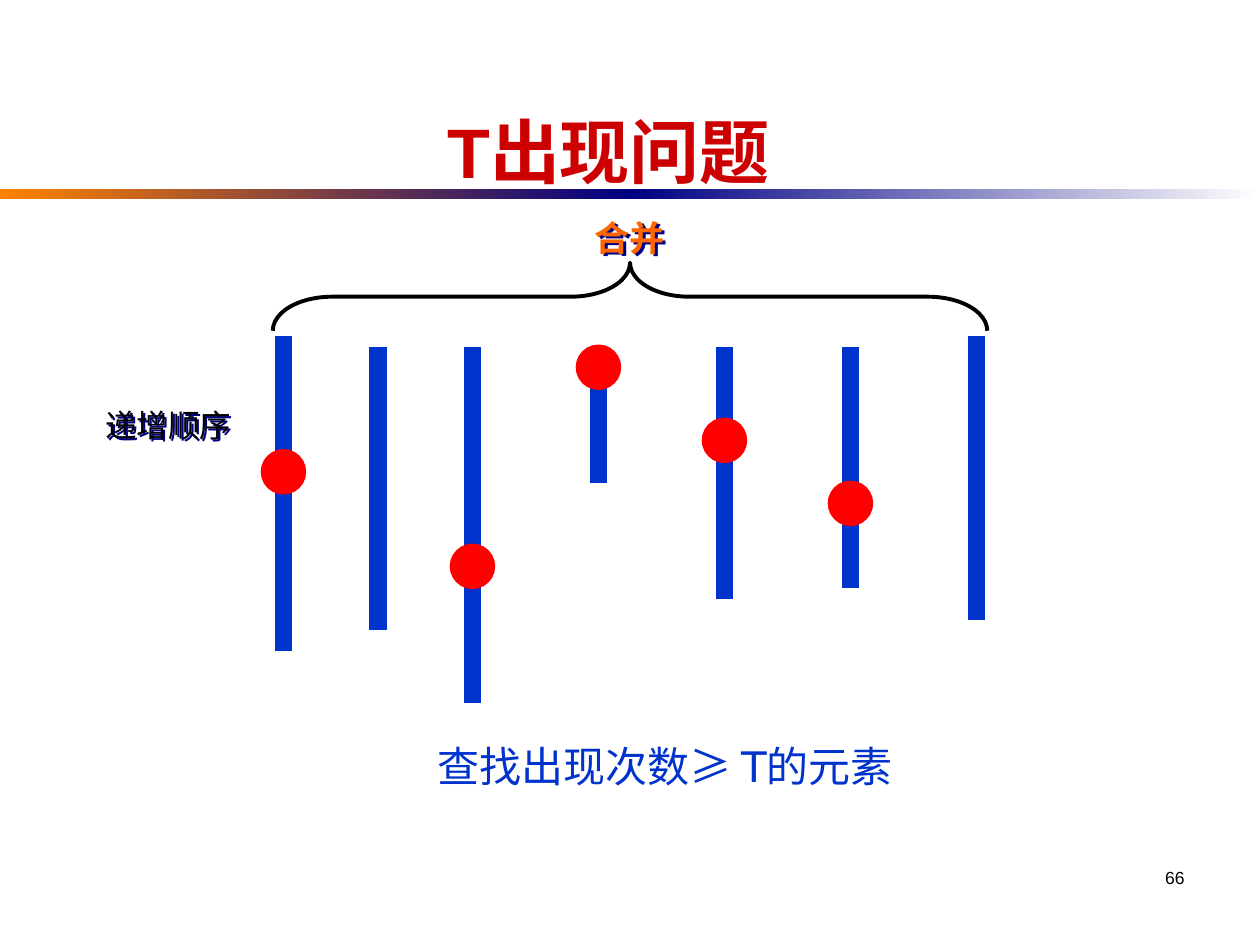
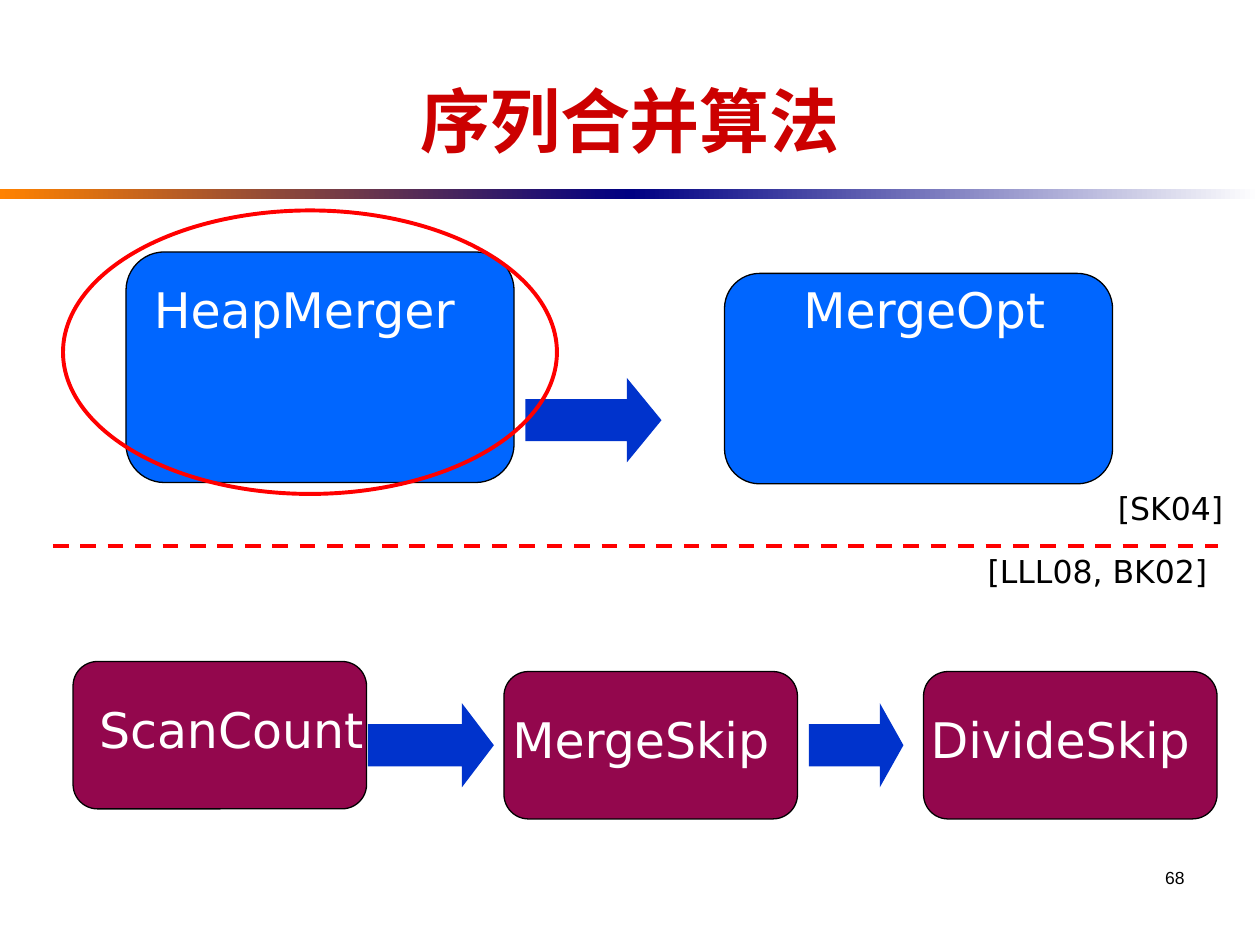
from lxml import etree
from pptx import Presentation
from pptx.dml.color import RGBColor
from pptx.enum.dml import MSO_LINE
from pptx.enum.shapes import MSO_CONNECTOR, MSO_SHAPE
from pptx.enum.text import MSO_ANCHOR, MSO_AUTO_SIZE, PP_ALIGN
from pptx.oxml.ns import qn
from pptx.util import Inches, Pt

RECT = MSO_SHAPE.RECTANGLE
OVAL = MSO_SHAPE.OVAL
BRACE = MSO_SHAPE.LEFT_BRACE
ARROW = MSO_SHAPE.RIGHT_ARROW
PROCESS = MSO_SHAPE.FLOWCHART_ALTERNATE_PROCESS
STRAIGHT = MSO_CONNECTOR.STRAIGHT
CENTER = PP_ALIGN.CENTER
RIGHT = PP_ALIGN.RIGHT
BOTTOM = MSO_ANCHOR.BOTTOM
NO_AUTOFIT = MSO_AUTO_SIZE.NONE
DASH = MSO_LINE.DASH

BLACK = RGBColor(0x00, 0x00, 0x00)
WHITE = RGBColor(0xFF, 0xFF, 0xFF)
RED = RGBColor(0xFF, 0x00, 0x00)
TITLE_RED = RGBColor(0xCC, 0x00, 0x00)
BLUE = RGBColor(0x00, 0x33, 0xCC)
BOX_BLUE = RGBColor(0x00, 0x66, 0xFF)
BOX_PURPLE = RGBColor(0x93, 0x07, 0x4D)
LABEL_ORANGE = RGBColor(0xFF, 0x66, 0x00)
BAND_ORANGE = RGBColor(0xFF, 0x82, 0x00)
NAVY = RGBColor(0x00, 0x00, 0x82)

TITLE_FONT = "Arial"
BODY_FONT = "DejaVu Sans"
DOT = 0.33

# x, top, bottom of each sorted list, and the top of its dot
LISTS = [
    (2.25, 2.67, 5.17, 3.58),
    (3, 2.75, 5, None),
    (3.75, 2.75, 5.58, 4.33),
    (4.75, 2.75, 3.83, 2.75),
    (5.75, 2.75, 4.75, 3.33),
    (6.75, 2.75, 4.67, 3.83),
    (7.75, 2.67, 4.92, None),
]

# name, box frame, fill, label left, label top, label width
ALGORITHMS = [
    ("HeapMerger", (1, 2, 3.08, 1.83), BOX_BLUE, 1.08, 2.17, 2.67),
    ("MergeOpt", (5.75, 2.17, 3.08, 1.67), BOX_BLUE, 5.75, 2.17, 3.17),
    ("ScanCount", (0.58, 5.25, 2.33, 1.17), BOX_PURPLE, 0.5, 5.5, 2.67),
    ("MergeSkip", (4, 5.33, 2.33, 1.17), BOX_PURPLE, 3.75, 5.58, 2.67),
    ("DivideSkip", (7.33, 5.33, 2.33, 1.17), BOX_PURPLE, 7.08, 5.58, 2.67),
]

# left, top, width, head length relative to height
ARROWS = [(4.17, 3, 1.08, 0.41), (2.92, 5.58, 1, 0.38), (6.42, 5.58, 0.75, 0.28)]


def add_shape(s, kind, frame, fill=None, line=None, width=2.25):
    sp = s.shapes.add_shape(kind, *map(Inches, frame))
    sp.shadow.inherit = False
    if fill is None:
        sp.fill.background()
    else:
        sp.fill.solid()
        sp.fill.fore_color.rgb = fill
    if line is None:
        sp.line.fill.background()
    else:
        sp.line.color.rgb = line
        sp.line.width = Pt(width)
    return sp


def add_line(s, x1, y1, x2, y2, color, width):
    line = s.shapes.add_connector(STRAIGHT, *map(Inches, (x1, y1, x2, y2)))
    line.line.color.rgb = color
    line.line.width = Pt(width)
    etree.SubElement(line.element.spPr, qn("a:effectLst"))
    return line


def set_font(p, size, color, name=BODY_FONT, bold=False):
    p.font.size = Pt(size)
    p.font.name = name
    p.font.bold = bold
    p.font.color.rgb = color


def add_text(s, text, frame, size, color, name=BODY_FONT, bold=False,
             align=CENTER, wrap=True):
    box = s.shapes.add_textbox(*map(Inches, frame))
    tf = box.text_frame
    tf.word_wrap = wrap
    p = tf.paragraphs[0]
    p.text = text
    p.alignment = align
    set_font(p, size, color, name, bold)
    return box


def add_text_shadow(box):
    """Give an unfilled text box a sharp navy shadow behind its letters."""
    effects = etree.SubElement(box.element.spPr, qn("a:effectLst"))
    shadow = etree.SubElement(effects, qn("a:outerShdw"), dist="22000",
                              dir="2700000", algn="ctr", rotWithShape="0")
    etree.SubElement(shadow, qn("a:srgbClr"), val=str(NAVY))


def add_master_bands(prs, s):
    """Draw the two gradient bands on s and move them to the slide master."""
    for i, colors in enumerate([(BAND_ORANGE, NAVY), (NAVY, WHITE)]):
        band = add_shape(s, RECT, (5 * i, 1.5, 5, 0.08))
        band.fill.gradient()
        band.fill.gradient_angle = 0
        for stop, color in zip(band.fill.gradient_stops, colors):
            stop.color.rgb = color
        stops = band.fill.gradient_stops
        stops[0].position, stops[1].position = 0, 1
        band.element.nvSpPr.cNvPr.set("id", str(101 + i))
        prs.slide_master.shapes.element.insert(2 + i, band.element)


def add_slide(prs, title, title_frame, number):
    s = prs.slides.add_slide(prs.slide_layouts[5])
    sp = s.shapes.title
    sp.left, sp.top, sp.width, sp.height = map(Inches, title_frame)
    tf = sp.text_frame
    tf.auto_size = NO_AUTOFIT
    tf.vertical_anchor = BOTTOM
    p = tf.paragraphs[0]
    p.text = title
    p.alignment = CENTER
    set_font(p, 40, TITLE_RED, TITLE_FONT, True)
    add_text(s, number, (7.17, 6.83, 2.33, 0.5), 10, BLACK, TITLE_FONT, align=RIGHT)
    return s


def build_occurrence_slide(prs):
    s = add_slide(prs, "T出现问题", (0.33, 0.33, 9, 1.25), "66")
    add_master_bands(prs, s)
    for x, top, bottom, dot_top in LISTS:
        add_line(s, x, top, x, bottom, BLUE, 10)
        if dot_top is not None:
            add_shape(s, OVAL, (x - DOT / 2, dot_top, DOT, DOT), RED, RED)
    add_text(s, "查找出现次数≥ T的元素", (3.29, 5.83, 3.98, 0.5), 24, BLUE, wrap=False)
    order = add_text(s, "递增顺序", (0.42, 3.17, 1.83, 0.4), 18, BLACK)
    brace = add_shape(s, BRACE, (4.73, -0.48, 0.54, 5.67), line=BLACK)
    brace.rotation = 90
    brace.adjustments[0] = 0.87
    merge = add_text(s, "合并", (3, 1.67, 4, 0.44), 20, LABEL_ORANGE, bold=True)
    for label in (order, merge):
        add_text_shadow(label)


def build_algorithms_slide(prs):
    s = add_slide(prs, "序列合并算法", (0.5, 0.25, 9, 1.08), "68")
    for name, frame, fill, left, top, width in ALGORITHMS:
        add_shape(s, PROCESS, frame, fill, BLACK, 0.75)
        add_text(s, name, (left, top, width, 0.57), 28, WHITE)
    for left, top, width, head in ARROWS:
        arrow = add_shape(s, ARROW, (left, top, width, 0.67), BLUE)
        arrow.adjustments[1] = head
    add_line(s, 0.42, 4.33, 9.67, 4.33, RED, 2.25).line.dash_style = DASH
    add_text(s, "[SK04]", (8.58, 3.83, 1.42, 0.4), 18, BLACK)
    add_text(s, "[LLL08, BK02]", (7.42, 4.33, 2.58, 0.4), 18, BLACK)
    add_shape(s, OVAL, (0.5, 1.67, 3.92, 2.25), line=RED)


def main():
    prs = Presentation()
    prs.slide_width, prs.slide_height = Inches(10), Inches(7.5)
    build_occurrence_slide(prs)
    build_algorithms_slide(prs)
    prs.save("out.pptx")


if __name__ == "__main__":
    main()
